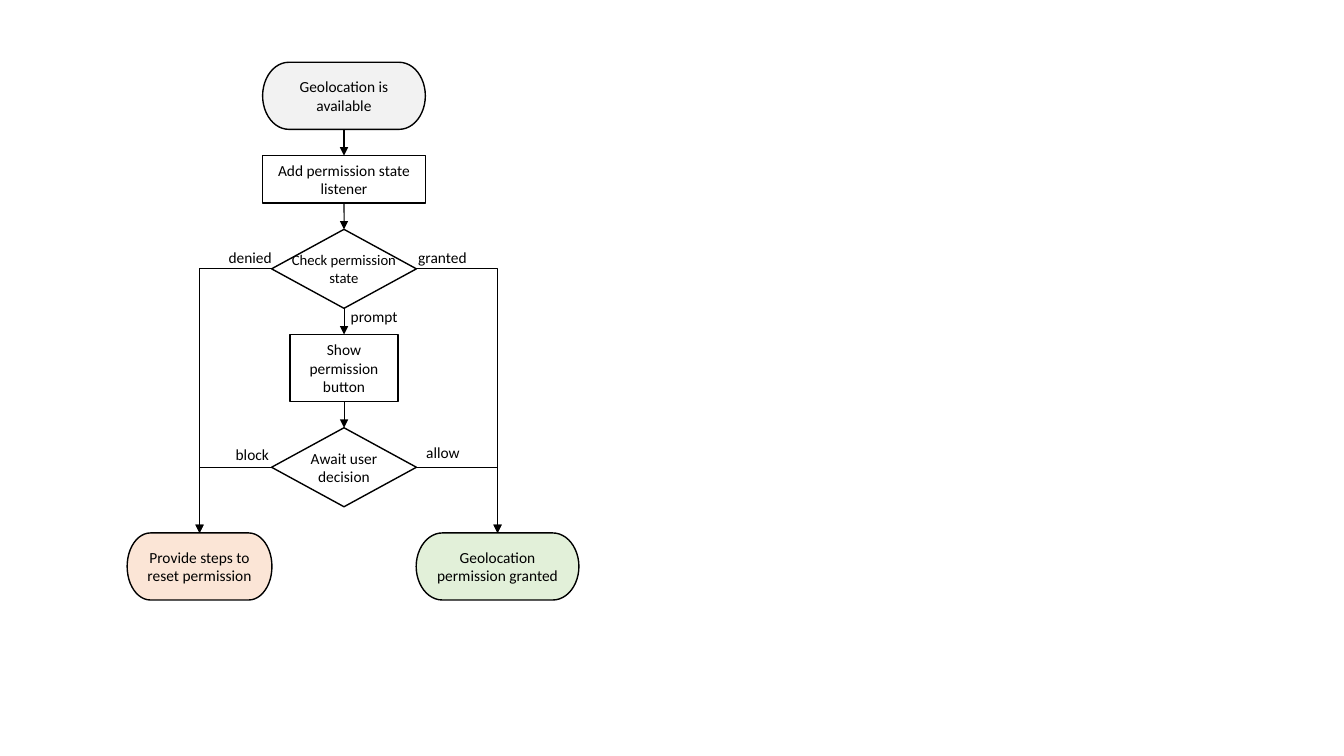
from dataclasses import dataclass

from pptx import Presentation
from pptx.dml.color import RGBColor
from pptx.enum import shapes, text
from pptx.oxml import ns, xmlchemy
from pptx.util import Cm, Pt

FONT = "Calibri"
BLACK, WHITE = "000000", "FFFFFF"
TERMINATOR = shapes.MSO_SHAPE.FLOWCHART_TERMINATOR
PROCESS = shapes.MSO_SHAPE.FLOWCHART_PROCESS
DECISION = shapes.MSO_SHAPE.FLOWCHART_DECISION
TOP, LEFT, BOTTOM, RIGHT = range(4)  # connection sites

# All lengths are in centimetres.
DENIED_X, MAIN_X, GRANTED_X = 5.03, 8.67, 12.54
FIRST_TOP, STEP_GAP = 1.57, 0.66
LABEL_HEIGHT = 0.74


@dataclass
class Step:
    name: str
    caption: str
    kind: shapes.MSO_SHAPE
    width: float
    height: float
    fill: str = WHITE
    size: float = 11


@dataclass
class Link:
    start: str
    start_site: int
    end: str


@dataclass
class Label:
    caption: str
    left: float
    top: float
    width: float


MAIN_STEPS = [
    Step("available", "Geolocation is available", TERMINATOR, 4.1, 1.69, "F2F2F2"),
    Step("listener", "Add permission state listener", PROCESS, 4.1, 1.2),
    Step("check", "Check permission\nstate", DECISION, 3.65, 1.99, size=10.5),
    Step("button", "Show permission button", PROCESS, 2.73, 1.69),
    Step("decision", "Await user\ndecision", DECISION, 3.65, 1.99),
]
OUTCOMES = [
    (DENIED_X, Step("reset", "Provide steps to reset permission",
                    TERMINATOR, 3.65, 1.69, "FBE5D6")),
    (GRANTED_X, Step("granted", "Geolocation permission granted",
                     TERMINATOR, 4.1, 1.69, "E2F0D9")),
]
BRANCHES = [
    Link(start, site, end)
    for start in ("check", "decision")
    for site, end in ((LEFT, "reset"), (RIGHT, "granted"))
]
LABELS = [
    Label("denied", 5.51, 6.12, 1.6),
    Label("granted", 10.29, 6.12, 1.75),
    Label("prompt", 8.59, 7.62, 1.7),
    Label("block", 5.69, 11.1, 1.35),
    Label("allow", 10.49, 11.05, 1.37),
]


def colour(value: str) -> RGBColor:
    return RGBColor.from_string(value)


def write(box, caption: str, *, size: float = 11, centred: bool = False,
          wrap: bool = True, grow: bool = True, inset: bool = True) -> None:
    frame = box.text_frame
    frame.text = caption
    frame.word_wrap = wrap
    frame.auto_size = (text.MSO_AUTO_SIZE.SHAPE_TO_FIT_TEXT if grow
                       else text.MSO_AUTO_SIZE.NONE)
    if not inset:
        frame.margin_left = frame.margin_right = 0
        frame.margin_top = frame.margin_bottom = 0
    for para in frame.paragraphs:
        para.alignment = text.PP_ALIGN.CENTER if centred else text.PP_ALIGN.LEFT
        for span in para.runs:
            span.font.name = FONT
            span.font.size = Pt(size)
            span.font.color.rgb = colour(BLACK)


def draw_step(page, step: Step, centre_x: float, top: float):
    box = page.shapes.add_shape(step.kind, Cm(centre_x - step.width / 2), Cm(top),
                                Cm(step.width), Cm(step.height))
    box.shadow.inherit = False
    box.fill.solid()
    box.fill.fore_color.rgb = colour(step.fill)
    box.line.color.rgb = colour(BLACK)
    box.line.width = Pt(1)
    box.text_frame.vertical_anchor = text.MSO_ANCHOR.MIDDLE
    roomy = step.kind != DECISION
    write(box, step.caption, size=step.size, centred=True,
          wrap=roomy, grow=roomy, inset=roomy)
    return box


def draw_link(page, link: Link, boxes: dict) -> None:
    """Join a site of one step to the top of another, with an arrowhead."""
    straight = link.start_site == BOTTOM
    kind = shapes.MSO_CONNECTOR.STRAIGHT if straight else shapes.MSO_CONNECTOR.ELBOW
    arrow = page.shapes.add_connector(kind, 0, 0, 0, 0)
    arrow.begin_connect(boxes[link.start], link.start_site)
    arrow.end_connect(boxes[link.end], TOP)
    arrow.line.color.rgb = colour(BLACK)
    arrow.line.width = Pt(0.75)
    properties = arrow.element.spPr
    if not straight:
        properties.find(ns.qn("a:prstGeom")).set("prst", "bentConnector2")
    head = xmlchemy.OxmlElement("a:tailEnd")
    head.set("type", "triangle")
    properties.find(ns.qn("a:ln")).append(head)
    properties.append(xmlchemy.OxmlElement("a:effectLst"))


def draw_label(page, label: Label) -> None:
    box = page.shapes.add_textbox(Cm(label.left), Cm(label.top),
                                  Cm(label.width), Cm(LABEL_HEIGHT))
    write(box, label.caption, wrap=False)


def main() -> None:
    deck = Presentation()
    deck.slide_width, deck.slide_height = Cm(33.87), Cm(19.05)
    page = deck.slides.add_slide(deck.slide_layouts.get_by_name("Blank"))

    boxes = {}
    top = FIRST_TOP
    for step in MAIN_STEPS:
        boxes[step.name] = draw_step(page, step, MAIN_X, top)
        top += step.height + STEP_GAP
    for centre_x, step in OUTCOMES:
        boxes[step.name] = draw_step(page, step, centre_x, top)

    descent = [Link(start.name, BOTTOM, end.name)
               for start, end in zip(MAIN_STEPS, MAIN_STEPS[1:])]
    for link in descent + BRANCHES:
        draw_link(page, link, boxes)
    for label in LABELS:
        draw_label(page, label)

    deck.save("out.pptx")


if __name__ == "__main__":
    main()
